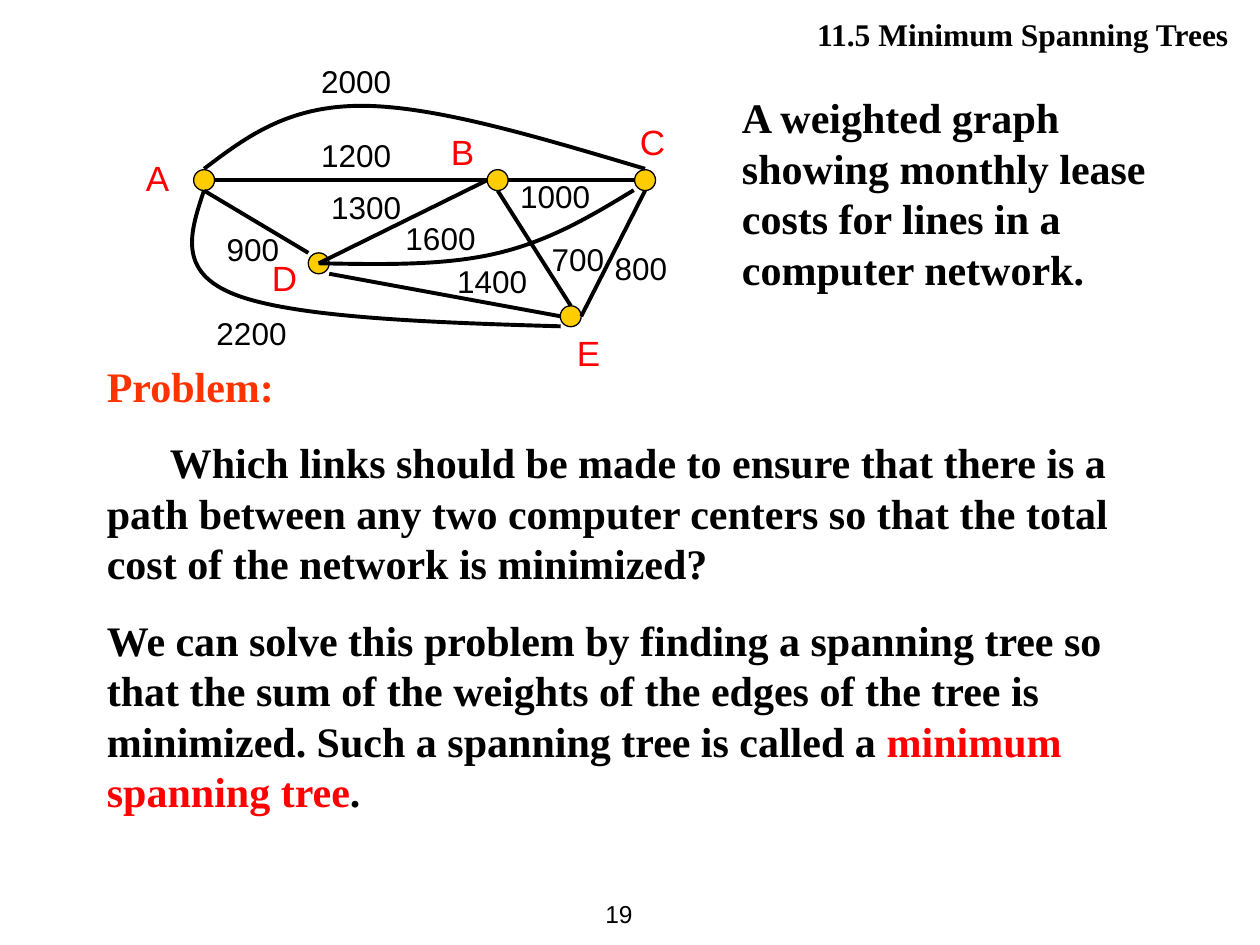
from lxml import etree
from pptx import Presentation
from pptx.dml.color import RGBColor
from pptx.enum import shapes as sh, text as tx
from pptx.oxml.ns import qn
from pptx.util import Inches, Pt

HUES = {"ink": "000000", "red": "FF0000", "head": "FF3300", "node": "FFCC00"}
SERIF, SANS = "Times New Roman", "Arial"
RAD = 0.083

TITLE = "11.5 Minimum Spanning Trees"
NOTE = [[("A weighted graph showing monthly lease costs for lines in a "
          "computer network.", "ink")]]
BODY = [
    [("Problem:", "head")],
    [("Which links should be made to ensure that there is a path between any "
      "two computer centers so that the total cost of the network is "
      "minimized?", "ink")],
    [("We can solve this problem by finding a spanning tree so that the sum of "
      "the weights of the edges of the tree is minimized. Such a spanning "
      "tree is called a ", "ink"),
     ("minimum spanning tree", "red"), (".", "ink")],
]
# name: (centre, top left of its label)
NODES = {
    "A": ((1.62, 1.43), (1.06, 1.19)),
    "B": ((3.95, 1.43), (3.48, 0.99)),
    "C": ((5.12, 1.43), (4.98, 0.91)),
    "E": ((4.53, 2.51), (4.48, 2.58)),
    "D": ((2.53, 2.09), (2.06, 1.99)),
}
# Each end is a node and the side of it that the line touches
EDGES = [
    ("A", (1, 0), "B", (-1, 0)),
    ("B", (1, 0), "C", (-1, 0)),
    ("A", (0, 1), "D", (-1, -1)),
    ("D", (1, 1), "E", (-1, 0)),
    ("E", (1, 0), "C", (0, 1)),
    ("B", (0, 1), "E", (0, -1)),
    ("D", (0, 0), "B", (-1, 0)),
]
# Start point, then three Bezier points per segment
CURVES = [
    [(1.62, 1.34), (1.95, 1.09), (2.28, 0.84), (2.87, 0.84),
     (3.45, 0.84), (4.28, 1.09), (5.12, 1.34)],
    [(1.62, 1.51), (1.51, 1.84), (1.4, 2.16), (1.87, 2.34),
     (2.34, 2.52), (3.4, 2.56), (4.45, 2.59)],
    [(2.53, 2.09), (3.03, 2.1), (3.53, 2.11), (3.95, 2.01),
     (4.37, 1.91), (4.7, 1.71), (5.03, 1.51)],
]
COSTS = [
    ("2000", 2.45, 0.44), ("1200", 2.45, 1.03), ("1000", 4.03, 1.36),
    ("900", 1.7, 1.78), ("1300", 2.53, 1.44), ("1600", 3.12, 1.69),
    ("1400", 3.53, 2.03), ("700", 4.28, 1.86), ("800", 4.78, 1.93),
    ("2200", 1.62, 2.44),
]

prs = Presentation()
prs.slide_width, prs.slide_height = Inches(10), Inches(7.5)
slide = prs.slides.add_slide(prs.slide_layouts[5])
pool = slide.shapes


def hue(name):
    return RGBColor.from_string(HUES[name])


def write(box, paras, size, face, bold=False, align=tx.PP_ALIGN.LEFT, gap=15):
    frame = box.text_frame
    frame.word_wrap = True
    frame.auto_size = tx.MSO_AUTO_SIZE.NONE
    for i, runs in enumerate(paras):
        para = frame.add_paragraph() if i else frame.paragraphs[0]
        para.alignment = align
        para.space_before = Pt(gap if i else 0)
        for words, shade in runs:
            run = para.add_run()
            run.text = words
            font = run.font
            font.size, font.name, font.bold = Pt(size), face, bold
            font.color.rgb = hue(shade)
    return frame


def label(paras, x, y, w, h, *style, **more):
    box = pool.add_textbox(Inches(x), Inches(y), Inches(w), Inches(h))
    return write(box, paras, *style, **more)


def stroke(shape, width):
    shape.line.color.rgb = hue("ink")
    shape.line.width = Pt(width)


def touch(name, side):
    return [Inches(c + RAD * d) for c, d in zip(NODES[name][0], side)]


def curve(points):
    """Draw an open outline, turning each three line points into one Bezier."""
    start, *rest = [(Inches(x), Inches(y)) for x, y in points]
    pen = pool.build_freeform(*start)
    pen.add_line_segments(rest, close=False)
    shape = pen.convert_to_shape()
    track = shape._element.find(".//" + qn("a:path"))
    steps = track.findall(qn("a:lnTo"))
    for i in range(0, len(steps), 3):
        bend = etree.SubElement(track, qn("a:cubicBezTo"))
        for step in steps[i:i + 3]:
            bend.append(step[0])
            track.remove(step)
    shape.fill.background()
    shape.shadow.inherit = False
    stroke(shape, 2.25)


title = pool.title
title.left, title.top = Inches(3.98), Inches(0)
title.width, title.height = Inches(5.94), Inches(0.5)
frame = write(title, [[(TITLE, "ink")]], 18, SERIF, True, tx.PP_ALIGN.RIGHT)
frame.vertical_anchor = tx.MSO_ANCHOR.TOP
frame.margin_top, frame.margin_right = Inches(0.12), Inches(0.17)
frame.margin_bottom = Inches(0.05)

label(NOTE, 5.79, 0.68, 3.42, 1.7, 24, SERIF, True)
body = label(BODY, 0.75, 2.81, 8.66, 3.72, 24, SERIF, True)
body.paragraphs[1]._p.get_or_add_pPr().set("indent", str(Inches(0.5)))

for name in NODES:
    x, y = touch(name, (-1, -1))
    dot = pool.add_shape(sh.MSO_SHAPE.OVAL, x, y,
                         Inches(2 * RAD), Inches(2 * RAD))
    dot.shadow.inherit = False
    dot.fill.solid()
    dot.fill.fore_color.rgb = hue("node")
    stroke(dot, 0.75)

for first, out, last, back in EDGES:
    link = pool.add_connector(sh.MSO_CONNECTOR.STRAIGHT,
                              *touch(first, out), *touch(last, back))
    stroke(link, 2.25)
    etree.SubElement(link._element.spPr, qn("a:effectLst"))

for points in CURVES:
    curve(points)
for cost, x, y in COSTS:
    label([[(cost, "ink")]], x, y, 0.83, 0.4, 18, SANS)
for name, (_, (x, y)) in NODES.items():
    label([[(name, "red")]], x, y, 0.5, 0.44, 20, SANS)

page = label([[("19", "ink")]], 4.45, 7, 0.67, 0.5, 14, SANS,
             align=tx.PP_ALIGN.RIGHT)
page.vertical_anchor = tx.MSO_ANCHOR.MIDDLE

prs.save("out.pptx")
